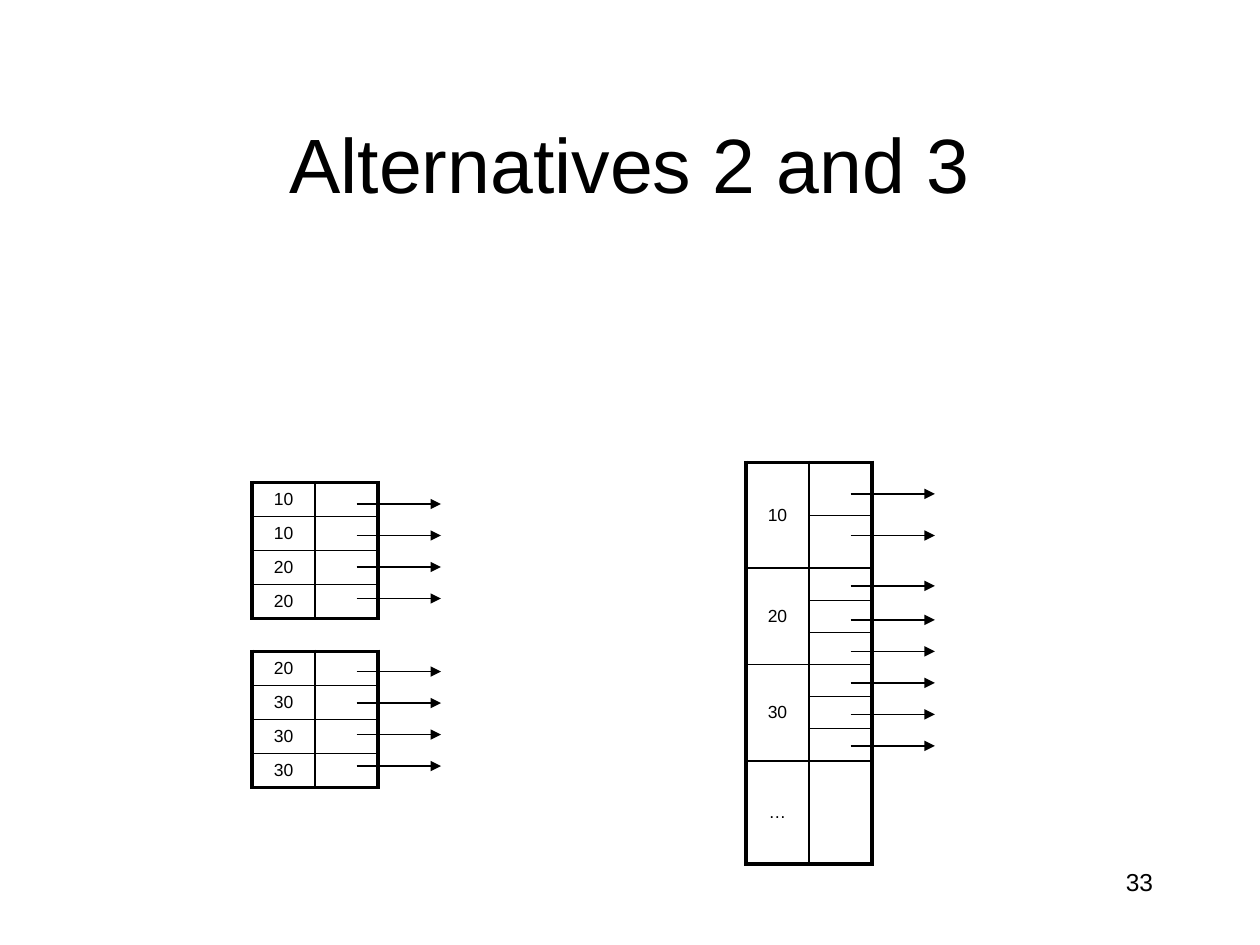
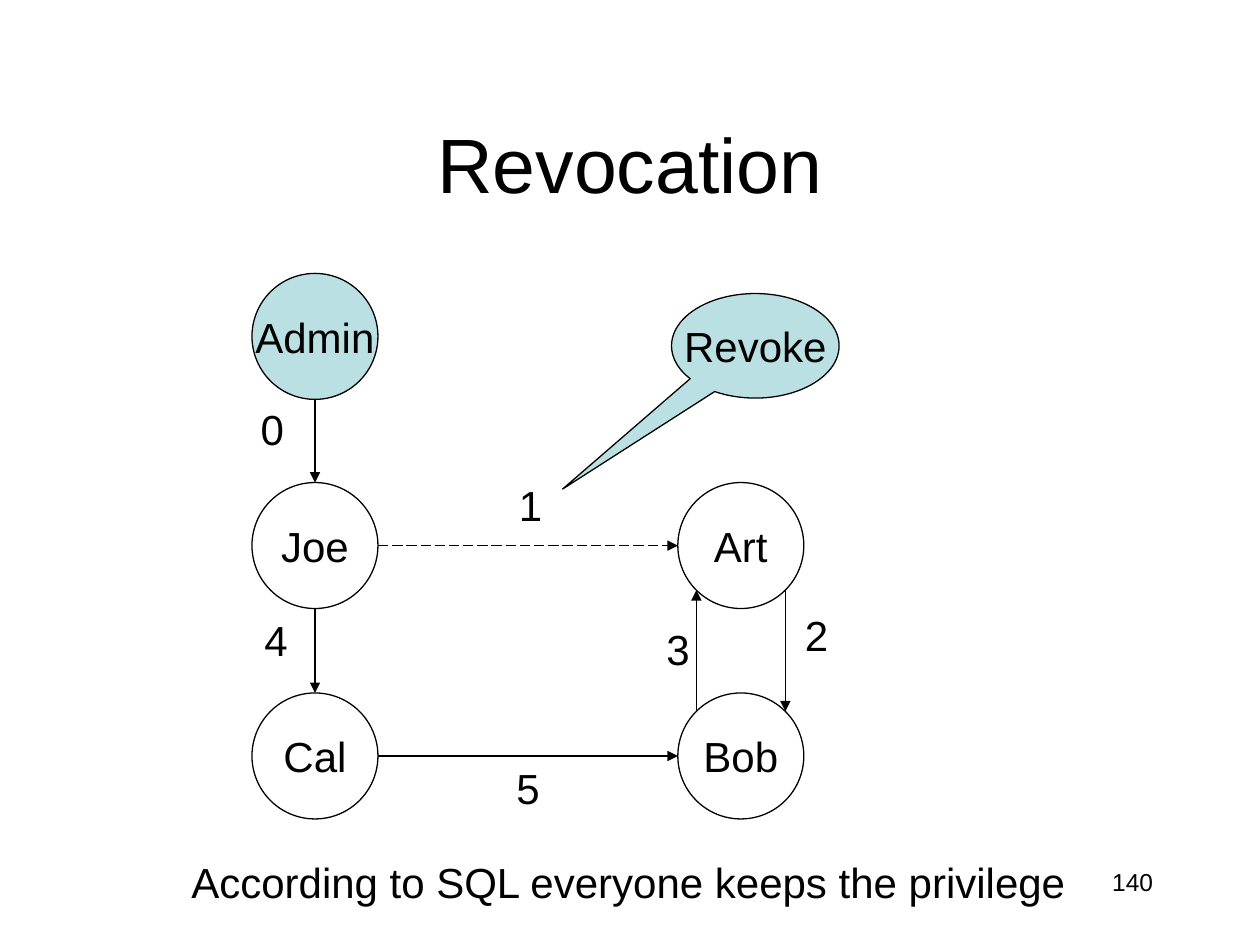
from lxml import etree
from pptx import Presentation
from pptx.dml.color import RGBColor
from pptx.enum.dml import MSO_LINE
from pptx.enum.shapes import MSO_CONNECTOR, MSO_SHAPE
from pptx.enum.text import MSO_ANCHOR, PP_ALIGN
from pptx.oxml.ns import qn
from pptx.util import Inches, Pt

STRAIGHT = MSO_CONNECTOR.STRAIGHT
OVAL, CALLOUT = MSO_SHAPE.OVAL, MSO_SHAPE.OVAL_CALLOUT
LEFT, CENTER, RIGHT = PP_ALIGN.LEFT, PP_ALIGN.CENTER, PP_ALIGN.RIGHT
MIDDLE = MSO_ANCHOR.MIDDLE
DASH = MSO_LINE.LONG_DASH

FONT = "Arial"
COLORS = {"ink": "000000", "accent": "BBE0E3"}
TITLE_BOX = (0.75, 0.67, 8.5, 1.25)
NUMBER_BOX = (7.17, 6.83, 2.08, 0.5)
COL_W, THIN, THICK = 0.5, 1, 2.25
ARROW_INSET, ARROW_LEN = 0.83, 0.67

# Each entry group is (key, number of pointers, pointer row height).
INDEX_TABLES = [
    {"at": (2, 3.83),
     "groups": [("10", 1, 0.27), ("10", 1, 0.27), ("20", 1, 0.27), ("20", 1, 0.27)],
     "arrows": [4 + 0.25 * i for i in range(4)]},
    {"at": (2, 5.17),
     "groups": [("20", 1, 0.27), ("30", 1, 0.27), ("30", 1, 0.27), ("30", 1, 0.27)],
     "arrows": [5.33 + 0.25 * i for i in range(4)]},
    {"at": (5.92, 3.67),
     "groups": [("10", 2, 0.42), ("20", 3, 0.255), ("30", 3, 0.255), ("…", 1, 0.82)],
     "arrows": [3.92, 4.25, 4.65] + [4.92 + 0.25 * i for i in range(5)]},
]

NODE = 1
COL_X, ROW_Y = (2, 5.38), (2.17, 3.83, 5.5)
USERS = [("Admin", 0, 0, "accent"), ("Joe", 0, 1, None), ("Art", 1, 1, None),
         ("Cal", 0, 2, None), ("Bob", 1, 2, None)]
DOWN_GRANTS = [("Admin", "Joe"), ("Joe", "Cal")]
ACROSS_GRANTS = [("Joe", "Art", DASH), ("Cal", "Bob", None)]
GRANT_LABELS = [("0", 1.97, 3.15), ("1", 4.02, 3.76), ("2", 6.29, 4.79),
                ("3", 5.19, 4.9), ("4", 2, 4.83), ("5", 4, 6)]
REVOKE_BOX, REVOKE_TIP = (5.33, 2.33, 1.33, 0.83), (-1.15, 1.37)
SUMMARY = ("According to SQL everyone keeps the privilege", (1.42, 6.75, 7.15, 0.5))


def rgb(name):
    return RGBColor.from_string(COLORS[name])


def inches(box):
    return [Inches(v) for v in box]


def write(tf, text, size, align):
    p = tf.paragraphs[0]
    p.alignment = align
    r = p.add_run()
    r.text = text
    r.font.name, r.font.size = FONT, Pt(size)
    r.font.color.rgb = rgb("ink")


def add_text(s, text, box, size=24, align=LEFT, wrap=False):
    tf = s.shapes.add_textbox(*inches(box)).text_frame
    tf.word_wrap = wrap
    write(tf, text, size, align)


def add_slide(prs, title, number):
    s = prs.slides.add_slide(prs.slide_layouts[5])
    sp = s.shapes.title
    sp.left, sp.top, sp.width, sp.height = inches(TITLE_BOX)
    sp.text_frame.vertical_anchor = MIDDLE
    write(sp.text_frame, title, 44, CENTER)
    add_text(s, number, NUMBER_BOX, 14, RIGHT, True)
    return s


def add_arrow(s, x1, y1, x2, y2, dash=None):
    c = s.shapes.add_connector(STRAIGHT, *inches((x1, y1, x2, y2)))
    c.line.color.rgb = rgb("ink")
    c.line.width = Pt(0.75)
    if dash:
        c.line.dash_style = dash
    etree.SubElement(c.line._get_or_add_ln(), qn("a:tailEnd"), type="triangle")
    etree.SubElement(c._element.spPr, qn("a:effectLst"))


def add_shape(s, kind, box, text, fill):
    sp = s.shapes.add_shape(kind, *inches(box))
    sp.shadow.inherit = False
    if fill:
        sp.fill.solid()
        sp.fill.fore_color.rgb = rgb(fill)
    else:
        sp.fill.background()
    sp.line.color.rgb = rgb("ink")
    sp.line.width = Pt(0.75)
    tf = sp.text_frame
    tf.word_wrap = False
    tf.vertical_anchor = MIDDLE
    write(tf, text, 24, CENTER)
    return sp


def set_border(cell, side, width):
    ln = etree.SubElement(cell._tc.get_or_add_tcPr(), qn("a:ln" + side), w=str(Pt(width)))
    fill = etree.SubElement(ln, qn("a:solidFill"))
    etree.SubElement(fill, qn("a:srgbClr"), val=COLORS["ink"])


def format_cell(cell, edges):
    cell.margin_top = cell.margin_bottom = 0
    cell.vertical_anchor = MIDDLE
    for side, outer in edges.items():
        set_border(cell, side, THICK if outer else THIN)
    cell.fill.background()
    etree.SubElement(cell.text_frame.paragraphs[0]._p, qn("a:endParaRPr"), sz="1000")


def add_index_table(s, at, groups, arrows):
    heights = [h for _, count, h in groups for _ in range(count)]
    last = len(heights) - 1
    box = (*at, 2 * COL_W, sum(heights))
    tbl = s.shapes.add_table(len(heights), 2, *inches(box)).table
    tbl.first_row = tbl.horz_banding = False
    for col in tbl.columns:
        col.width = Inches(COL_W)
    for i, h in enumerate(heights):
        tbl.rows[i].height = Inches(h)
        for j in range(2):
            format_cell(tbl.cell(i, j), {"L": j == 0, "R": j == 1, "T": i == 0, "B": i == last})
    row = 0
    for key, count, _ in groups:
        cell = tbl.cell(row, 0)
        if count > 1:
            cell.merge(tbl.cell(row + count - 1, 0))
        write(cell.text_frame, key, 10, CENTER)
        row += count
    x = at[0] + ARROW_INSET
    for y in arrows:
        add_arrow(s, x, y, x + ARROW_LEN, y)


def build_alternatives(prs):
    s = add_slide(prs, "Alternatives 2 and 3", "33")
    for index in INDEX_TABLES:
        add_index_table(s, **index)


def build_revocation(prs):
    s = add_slide(prs, "Revocation", "140")
    pos = {}
    for name, col, row, fill in USERS:
        pos[name] = x, y = COL_X[col], ROW_Y[row]
        add_shape(s, OVAL, (x, y, NODE, NODE), name, fill)
    half = NODE / 2
    for a, b in DOWN_GRANTS:
        x, y = pos[a]
        add_arrow(s, x + half, y + NODE, x + half, pos[b][1])
    for a, b, dash in ACROSS_GRANTS:
        x, y = pos[a]
        add_arrow(s, x + NODE, y + half, pos[b][0], y + half, dash)
    diagonal = half * 0.5 ** 0.5
    x = pos["Art"][0] + half
    upper = pos["Art"][1] + half + diagonal
    lower = pos["Bob"][1] + half - diagonal
    add_arrow(s, x + diagonal, upper, x + diagonal, lower)
    add_arrow(s, x - diagonal, lower, x - diagonal, upper)
    for text, x, y in GRANT_LABELS:
        add_text(s, text, (x, y, 0.39, 0.5))
    callout = add_shape(s, CALLOUT, REVOKE_BOX, "Revoke", "accent")
    for i, v in enumerate(REVOKE_TIP):
        callout.adjustments[i] = v
    add_text(s, *SUMMARY)


def main():
    prs = Presentation()
    prs.slide_width, prs.slide_height = Inches(10), Inches(7.5)
    build_alternatives(prs)
    build_revocation(prs)
    prs.save("out.pptx")


if __name__ == "__main__":
    main()
